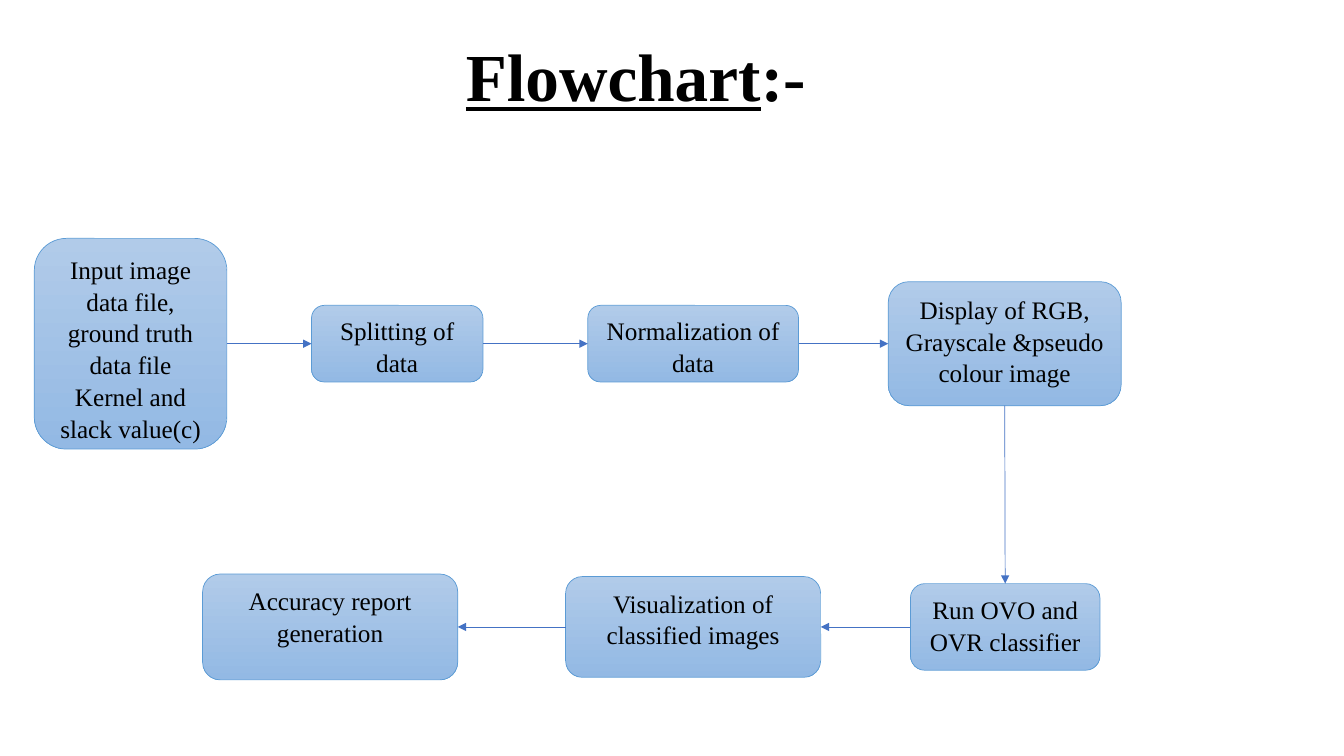
from pptx import Presentation
from pptx.dml.color import RGBColor
from pptx.enum.shapes import MSO_CONNECTOR as CONN, MSO_SHAPE as SHAPE
from pptx.enum.text import MSO_ANCHOR as ANCHOR, MSO_AUTO_SIZE as AUTO, PP_ALIGN as ALIGN
from pptx.oxml.ns import qn
from pptx.util import Inches, Pt
from lxml import etree

FONT = "Times New Roman"
TITLE = [("Flowchart", True), (":-", False)]
TOP_Y, BOTTOM_Y = 3.41, 6.22
TOP, LEFT, BOTTOM, RIGHT = range(4)

STEPS = [
    ("Input image data file, ground truth data file Kernel and slack value(c)", 0.34, TOP_Y, 1.91, 2.09),
    ("Splitting of data", 3.09, TOP_Y, 1.7, 0.76),
    ("Normalization of data", 5.83, TOP_Y, 2.09, 0.76),
    ("Display of RGB, Grayscale &pseudo colour image", 8.81, TOP_Y, 2.31, 1.23),
    ("Run OVO and OVR classifier", 9.03, BOTTOM_Y, 1.88, 0.86),
    ("Visualization of classified images", 5.61, BOTTOM_Y, 2.53, 1),
    ("Accuracy report generation", 2.01, BOTTOM_Y, 2.53, 1.05),
]
LINKS = [(RIGHT, LEFT)] * 3 + [(BOTTOM, TOP)] + [(LEFT, RIGHT)] * 2


def rgb(value):
    return RGBColor.from_string(value)


def style_run(r, size):
    r.font.name = FONT
    r.font.size = Pt(size)
    r.font.color.rgb = rgb("000000")


def add_title(s):
    title = s.shapes.title
    title.left, title.top, title.width, title.height = map(Inches, (4.52, 0, 3.9, 1.58))
    tf = title.text_frame
    tf.auto_size = AUTO.NONE
    tf.word_wrap = True
    tf.vertical_anchor = ANCHOR.MIDDLE
    p = tf.paragraphs[0]
    p.alignment = ALIGN.LEFT
    p.line_spacing = 0.9
    for text, underline in TITLE:
        r = p.add_run()
        r.text = text
        style_run(r, 48)
        r.font.bold = True
        r.font.underline = underline


def add_step(s, text, x, middle, w, h):
    box = s.shapes.add_shape(SHAPE.ROUNDED_RECTANGLE, *map(Inches, (x, middle - h / 2, w, h)))
    box.shadow.inherit = False
    box.fill.gradient()
    box.fill.gradient_angle = 270
    for stop, color in zip(box.fill.gradient_stops, ("B1CBE9", "93B9E4")):
        stop.color.rgb = rgb(color)
    box.line.color.rgb = rgb("5B9BD5")
    box.line.width = Pt(0.5)
    tf = box.text_frame
    tf.text = text
    tf.word_wrap = True
    tf.vertical_anchor = ANCHOR.TOP
    p = tf.paragraphs[0]
    p.alignment = ALIGN.CENTER
    p.line_spacing = 1.05
    style_run(p.runs[0], 18)
    return box


def add_arrow(s, start, end, start_side, end_side):
    arrow = s.shapes.add_connector(CONN.STRAIGHT, 0, 0, 0, 0)
    arrow.begin_connect(start, start_side)
    arrow.end_connect(end, end_side)
    arrow.line.color.rgb = rgb("4472C4")
    arrow.line.width = Pt(0.5)
    etree.SubElement(arrow.line._get_or_add_ln(), qn("a:tailEnd"), type="triangle")
    etree.SubElement(arrow._element.spPr, qn("a:effectLst"))


def main():
    prs = Presentation()
    prs.slide_width, prs.slide_height = Inches(13.33), Inches(7.5)
    s = prs.slides.add_slide(prs.slide_layouts[5])
    add_title(s)
    boxes = [add_step(s, *step) for step in STEPS]
    for start, end, sides in zip(boxes, boxes[1:], LINKS):
        add_arrow(s, start, end, *sides)
    prs.save("out.pptx")


if __name__ == "__main__":
    main()
